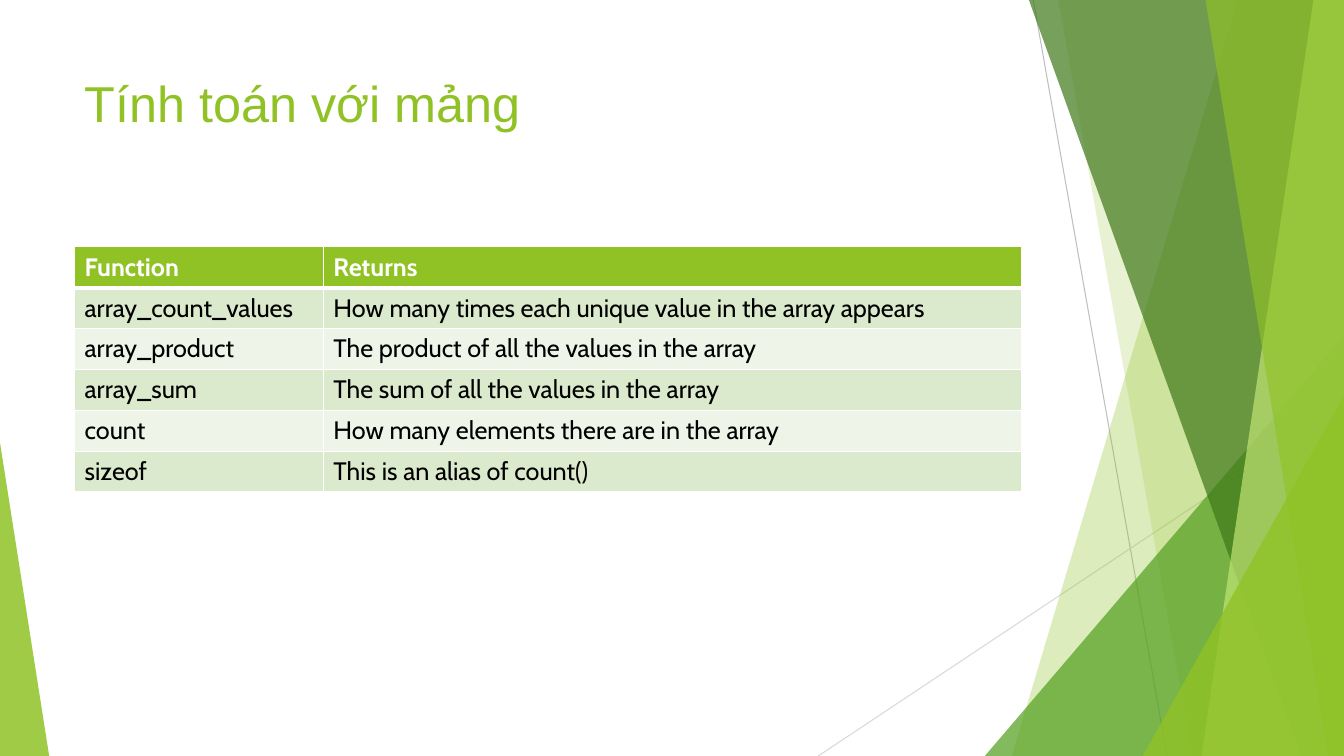
from dataclasses import dataclass

from pptx import Presentation
from pptx import util as u
from pptx.dml import color
from pptx.enum import shapes, text
from pptx.oxml import ns, xmlchemy

Cm = u.Cm
WIDTH, HEIGHT = 33.87, 19.05


@dataclass(frozen=True)
class Theme:
    lime: str = "90C226"
    green: str = "54A021"
    forest: str = "3F7819"
    pale: str = "C0E474"
    steep_line: str = "BFBFBF"
    flat_line: str = "D9D9D9"
    white: str = "FFFFFF"
    black: str = "000000"
    bands: tuple = ("DBE9CD", "EEF4E8")
    title_font: str = "Arial"
    table_font: str = "Cabin"
    title_size: int = 36
    table_size: int = 18


def rgb(value):
    return color.RGBColor.from_string(value)


class SlideBuilder:
    def __init__(self, slide, theme):
        self.slide, self.theme = slide, theme

    def style_text(self, frame, font, size, tint, bold=False):
        for para in frame.paragraphs:
            para.alignment = text.PP_ALIGN.LEFT
            for span in para.runs:
                span.font.name, span.font.size = font, u.Pt(size)
                span.font.bold = bold
                span.font.color.rgb = rgb(tint)

    def paint(self, shape, tint, opacity):
        shape.shadow.inherit = False
        shape.line.fill.background()
        shape.fill.solid()
        shape.fill.fore_color.rgb = rgb(tint)
        tint_node = shape._element.spPr.find(f"{ns.qn('a:solidFill')}/{ns.qn('a:srgbClr')}")
        alpha = xmlchemy.OxmlElement("a:alpha")
        alpha.set("val", str(opacity * 1000))
        tint_node.append(alpha)

    def line(self, start, end, tint):
        line = self.slide.shapes.add_connector(
            shapes.MSO_CONNECTOR.STRAIGHT, *map(Cm, start + end))
        line.line.color.rgb = rgb(tint)
        line.line.width = u.Pt(0.75)
        line._element.spPr.append(xmlchemy.OxmlElement("a:effectLst"))

    def ribbon(self, top_x, bottom_x, tint, opacity):
        """Full-height band from a slanted left side to the slide's right edge."""
        outline = self.slide.shapes.build_freeform(Cm(top_x), 0)
        outline.add_line_segments([(Cm(x), Cm(y)) for x, y in (
            (WIDTH, 0), (WIDTH, HEIGHT), (bottom_x, HEIGHT))])
        self.paint(outline.convert_to_shape(), tint, opacity)

    def corner(self, left, top, width, peak, tint, opacity):
        """Triangle standing on the slide's bottom edge."""
        shape = self.slide.shapes.add_shape(
            shapes.MSO_SHAPE.ISOSCELES_TRIANGLE,
            Cm(left), Cm(top), Cm(width), Cm(HEIGHT - top))
        shape.adjustments[0] = peak
        self.paint(shape, tint, opacity)

    def title(self, wording, left, top, width, height):
        box = self.slide.shapes.title
        box.left, box.top, box.width, box.height = map(Cm, (left, top, width, height))
        frame = box.text_frame
        frame.text = wording
        frame.word_wrap = True
        frame.auto_size = text.MSO_AUTO_SIZE.NONE
        frame.vertical_anchor = text.MSO_ANCHOR.TOP
        self.style_text(frame, self.theme.title_font, self.theme.title_size, self.theme.lime)

    def borders(self, cell, bottom):
        properties = cell._tc.get_or_add_tcPr()
        for side, points in (("L", 1), ("R", 1), ("T", 1), ("B", bottom)):
            border = xmlchemy.OxmlElement(f"a:ln{side}")
            border.set("w", str(u.Pt(points)))
            fill = xmlchemy.OxmlElement("a:solidFill")
            tint = xmlchemy.OxmlElement("a:srgbClr")
            tint.set("val", self.theme.white)
            fill.append(tint)
            border.append(fill)
            properties.append(border)

    def table(self, rows, left, top, column_widths, row_height):
        theme = self.theme
        table = self.slide.shapes.add_table(
            len(rows), len(column_widths), Cm(left), Cm(top),
            Cm(sum(column_widths)), Cm(row_height * len(rows))).table
        for column, width in zip(table.columns, column_widths):
            column.width = Cm(width)
        for index, values in enumerate(rows):
            header = index == 0
            table.rows[index].height = Cm(row_height)
            for cell, value in zip(table.rows[index].cells, values):
                cell.text_frame.text = value
                self.style_text(cell.text_frame, theme.table_font, theme.table_size,
                                theme.white if header else theme.black, header)
                self.borders(cell, 3 if header else 1)
                cell.fill.solid()
                cell.fill.fore_color.rgb = rgb(
                    theme.lime if header else theme.bands[(index - 1) % 2])


deck = Presentation()
deck.slide_width, deck.slide_height = Cm(WIDTH), Cm(HEIGHT)
theme = Theme()
page = SlideBuilder(deck.slides.add_slide(deck.slide_layouts[5]), theme)

# Decoration, from back to front
page.line((26.04, 0), (29.41, HEIGHT), theme.steep_line)
page.line((WIDTH, 10.24), (20.62, HEIGHT), theme.flat_line)
page.ribbon(31.19, 25.5, theme.lime, 30)
page.ribbon(26.67, 30.05, theme.lime, 20)
page.corner(24.82, 8.46, 9.05, 1, theme.green, 72)
page.ribbon(25.93, 32.79, theme.forest, 70)
page.ribbon(33.1, 30.28, theme.pale, 70)
page.ribbon(30.38, 33.48, theme.lime, 65)
page.corner(28.8, 9.98, 5.07, 1, theme.lime, 80)
page.corner(0, 11.15, 1.24, 0, theme.lime, 85)

# Title
page.title("Tính toán với mảng", 1.88, 1.7, 23.88, 1.65)

# Table of array functions
page.table([
    ("Function", "Returns"),
    ("array_count_values", "How many times each unique value in the array appears"),
    ("array_product", "The product of all the values in the array"),
    ("array_sum", "The sum of all the values in the array"),
    ("count", "How many elements there are in the array"),
    ("sizeof", "This is an alias of count()"),
], 1.88, 6.22, (6.27, 17.6), 1.03)

deck.save("out.pptx")
